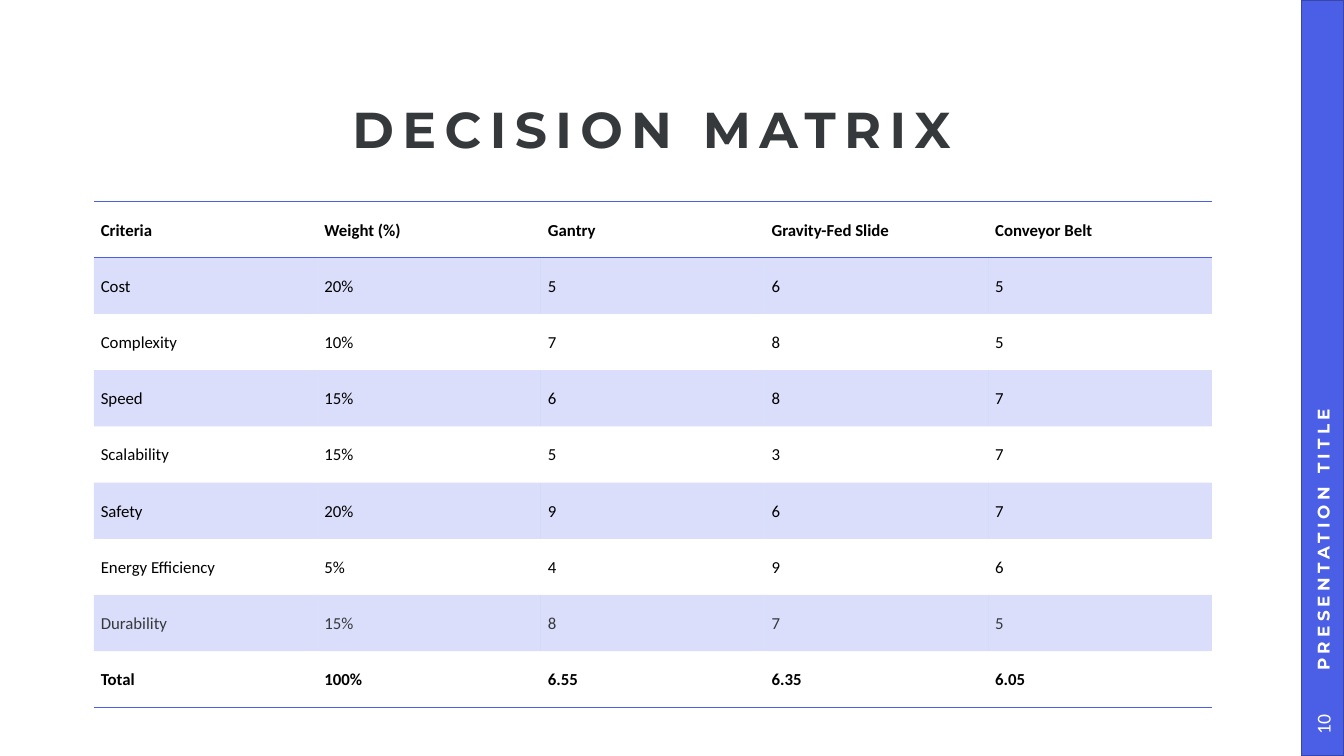
from dataclasses import dataclass

from lxml import etree
from pptx import Presentation, util as u
from pptx.dml import color
from pptx.enum import shapes, text
from pptx.oxml import ns


@dataclass(frozen=True)
class Theme:
    """Colours, fonts and type sizes of the deck."""
    blue: str = "4A5EE6"
    edge: str = "3746AA"
    ink: str = "36393B"
    black: str = "000000"
    white: str = "FFFFFF"
    head: str = "Montserrat"
    body: str = "Calibri"
    big: int = 36
    mid: int = 14
    small: int = 12


THEME = Theme()
NO_GRID = "{2D5ABB26-0587-4C30-8999-92F81FD0307C}"
ROWS = [
    ("Criteria", "Weight (%)", "Gantry", "Gravity-Fed Slide", "Conveyor Belt"),
    ("Cost", "20%", "5", "6", "5"),
    ("Complexity", "10%", "7", "8", "5"),
    ("Speed", "15%", "6", "8", "7"),
    ("Scalability", "15%", "5", "3", "7"),
    ("Safety", "20%", "9", "6", "7"),
    ("Energy Efficiency", "5%", "4", "9", "6"),
    ("Durability", "15%", "8", "7", "5"),
    ("Total", "100%", "6.55", "6.35", "6.05"),
]


def apply(item, **values):
    """Set each named value on the item."""
    for name, value in values.items():
        setattr(item, name, value)


def write(frame, words, face, size, tint, bold=False, track=0, **para):
    """Write one styled line, centred in height, into a text frame."""
    apply(frame, word_wrap=True, auto_size=text.MSO_AUTO_SIZE.NONE,
          vertical_anchor=text.MSO_ANCHOR.MIDDLE)
    line = frame.paragraphs[0]
    apply(line, **para)
    run = line.add_run()
    run.text = words
    apply(run.font, name=face, size=u.Pt(size), bold=bold)
    run.font.color.rgb = color.RGBColor.from_string(tint)
    if track:
        run.font._element.set("spc", str(track * 100))


def pad(item, left, top, right, bottom):
    """Set the four inner margins in inches."""
    apply(item, margin_left=u.Inches(left), margin_top=u.Inches(top),
          margin_right=u.Inches(right), margin_bottom=u.Inches(bottom))


def turn(box):
    """Give the frame that fills the box once turned by 270 degrees."""
    left, top, width, height = box
    shift = (width - height) / 2
    return [u.Inches(n) for n in (left + shift, top - shift, height, width)]


def title(slide, box):
    """Place the slide title in the box."""
    shape = slide.shapes.title
    names = ("left", "top", "width", "height")
    apply(shape, **dict(zip(names, map(u.Inches, box))))
    pad(shape.text_frame, 0, 0, 0, 0)
    write(shape.text_frame, "DECISION MATRIX", THEME.head, THEME.big, THEME.ink,
          True, 6, alignment=text.PP_ALIGN.CENTER, line_spacing=0.9)


def rule(cell, side):
    """Draw a one-point border on the given side of a cell."""
    props = cell._tc.get_or_add_tcPr()
    line = etree.SubElement(props, ns.qn("a:ln" + side), w=str(u.Pt(1)))
    fill = etree.SubElement(line, ns.qn("a:solidFill"))
    etree.SubElement(fill, ns.qn("a:srgbClr"), val=THEME.blue)


def shade(cell):
    """Fill a cell with the faint blue band."""
    cell.fill.solid()
    cell.fill.fore_color.rgb = color.RGBColor.from_string(THEME.blue)
    tint = cell._tc.tcPr.find(ns.qn("a:solidFill")).find(ns.qn("a:srgbClr"))
    etree.SubElement(tint, ns.qn("a:alpha"), val="20000")


def matrix(slide, box):
    """Place the scored table in the box."""
    count, last = len(ROWS), len(ROWS) - 1
    left, top, width, height = map(u.Inches, box)
    frame = slide.shapes.add_table(count, len(ROWS[0]), left, top, width, height)
    grid = frame.table
    apply(grid, horz_banding=False, first_row=False)
    next(frame._element.iter(ns.qn("a:tableStyleId"))).text = NO_GRID
    for r, row in enumerate(ROWS):
        grid.rows[r].height = int(height / count)
        ends = r in (0, last)
        tint = THEME.ink if row[0] == "Durability" else THEME.black
        for c, words in enumerate(row):
            cell = grid.cell(r, c)
            pad(cell, 0.07, 0, 0.07, 0)
            cell.vertical_anchor = text.MSO_ANCHOR.MIDDLE
            write(cell.text_frame, words, THEME.body, THEME.small, tint, ends,
                  line_spacing=1.07, space_after=u.Pt(8))
            for side in {0: "TB", last: "B"}.get(r, ""):
                rule(cell, side)
            if r % 2:
                shade(cell)
            else:
                cell.fill.background()


def band(slide, box):
    """Place the side bar with its upright label and page number."""
    left, top, width, height = box
    foot = 0.62
    bar = slide.shapes.add_shape(shapes.MSO_SHAPE.RECTANGLE, *turn(box))
    apply(bar, rotation=270)
    bar.shadow.inherit = False
    bar.fill.solid()
    bar.fill.fore_color.rgb = color.RGBColor.from_string(THEME.blue)
    bar.line.color.rgb = color.RGBColor.from_string(THEME.edge)
    bar.line.width = u.Pt(1)

    label = slide.shapes.add_textbox(*turn((left, top, width, height - foot)))
    label.rotation = 270
    pad(label.text_frame, 0.23, 0.05, 0.1, 0.05)
    write(label.text_frame, "PRESENTATION TITLE", THEME.head, THEME.small,
          THEME.white, True, 3)

    page = slide.shapes.add_textbox(*turn((left, top + height - foot, width, foot)))
    page.rotation = 270
    write(page.text_frame, "10", THEME.body, THEME.mid, THEME.white,
          alignment=text.PP_ALIGN.CENTER)


def main():
    """Build the slide and save the deck."""
    deck = Presentation()
    apply(deck, slide_width=u.Inches(13.33), slide_height=u.Inches(7.5))
    slide = deck.slides.add_slide(deck.slide_layouts[5])
    band(slide, (12.91, 0, 0.42, 7.5))
    title(slide, (0.93, 0.96, 11.07, 0.71))
    matrix(slide, (0.93, 2, 11.09, 5.02))
    deck.save("out.pptx")


if __name__ == "__main__":
    main()
